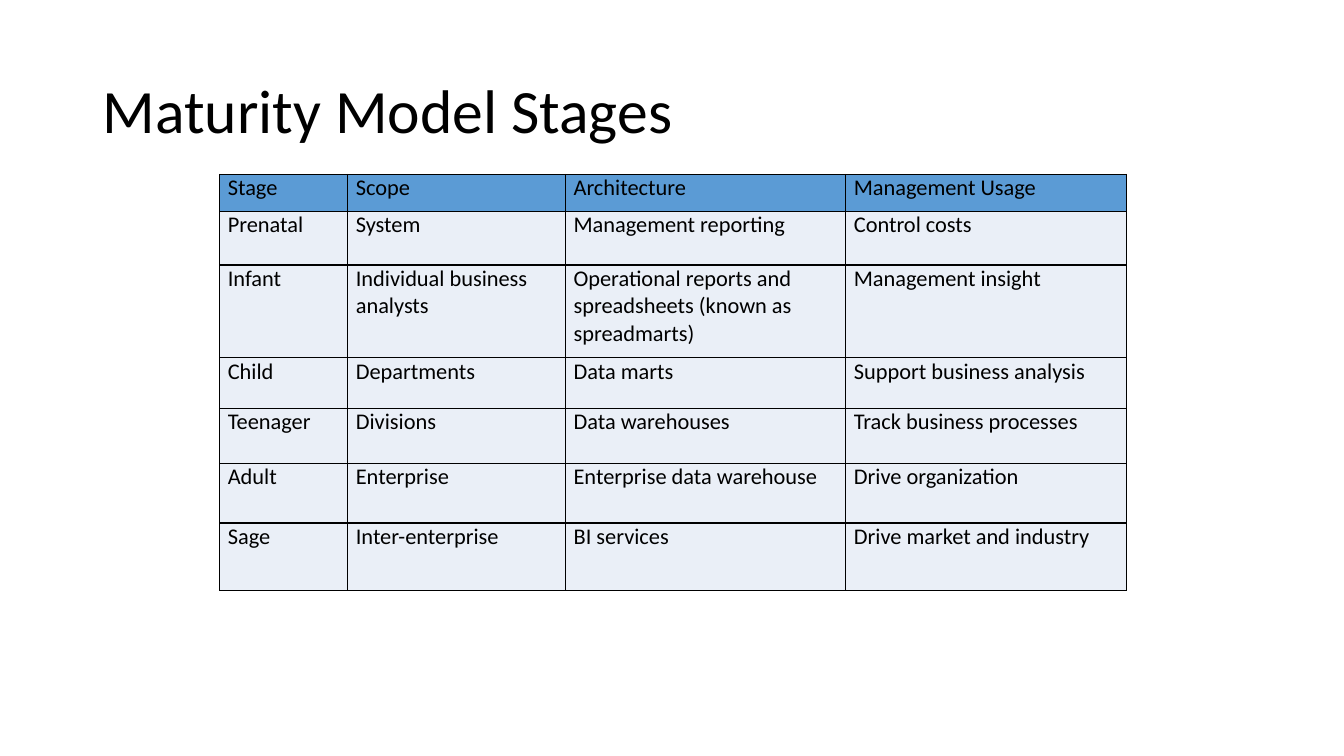
import pptx
import pptx.util
import pptx.dml.color
import pptx.enum.text
import pptx.oxml
import pptx.oxml.ns
from pptx.util import Inches

BLACK = pptx.dml.color.RGBColor(0x00, 0x00, 0x00)
BLUE = pptx.dml.color.RGBColor(0x5B, 0x9B, 0xD5)
PALE = pptx.dml.color.RGBColor(0xEA, 0xEF, 0xF7)
FONT = "Calibri"

COLS = [1.27, 2.16, 2.78, 2.78]
ROWS = [0.37, 0.53, 0.92, 0.5, 0.55, 0.59, 0.67]
STAGES = [
    ("Stage", "Scope", "Architecture", "Management Usage"),
    ("Prenatal", "System", "Management reporting", "Control costs"),
    ("Infant", "Individual business analysts",
     "Operational reports and spreadsheets (known as spreadmarts)",
     "Management insight"),
    ("Child", "Departments", "Data marts", "Support business analysis"),
    ("Teenager", "Divisions", "Data warehouses", "Track business processes"),
    ("Adult", "Enterprise", "Enterprise data warehouse", "Drive organization"),
    ("Sage", "Inter-enterprise", "BI services", "Drive market and industry"),
]


def style(par, size):
    for run in par.runs:
        run.font.name = FONT
        run.font.size = pptx.util.Pt(size)
        run.font.color.rgb = BLACK


def border(cell):
    # Edge lines come before the fill in the cell properties
    props = cell._tc.get_or_add_tcPr()
    for place, side in enumerate(("lnL", "lnR", "lnT", "lnB")):
        props.insert(place, pptx.oxml.parse_xml(
            f'<a:{side} {pptx.oxml.ns.nsdecls("a")} w="12700">'
            f'<a:solidFill><a:srgbClr val="{BLACK}"/></a:solidFill></a:{side}>'))


def add_title(slide, text, left, top, width, height):
    box = slide.shapes.add_textbox(
        Inches(left), Inches(top), Inches(width), Inches(height))
    frame = box.text_frame
    frame.word_wrap = True
    frame.vertical_anchor = pptx.enum.text.MSO_ANCHOR.MIDDLE
    frame.text = text
    frame.paragraphs[0].line_spacing = 0.9
    style(frame.paragraphs[0], 44)


def add_grid(slide, left, top):
    table = slide.shapes.add_table(
        len(ROWS), len(COLS), Inches(left), Inches(top),
        Inches(sum(COLS)), Inches(sum(ROWS))).table
    for col, width in zip(table.columns, COLS):
        col.width = Inches(width)
    for row, height, texts in zip(table.rows, ROWS, STAGES):
        row.height = Inches(height)
        for cell, text in zip(row.cells, texts):
            cell.text = text
            style(cell.text_frame.paragraphs[0], 16)
            cell.margin_left = cell.margin_right = Inches(0.08)
            cell.margin_top = cell.margin_bottom = 0
            cell.fill.solid()
            cell.fill.fore_color.rgb = BLUE if texts is STAGES[0] else PALE
            border(cell)


def main():
    deck = pptx.Presentation()
    deck.slide_width, deck.slide_height = Inches(13.33), Inches(7.5)
    slide = deck.slides.add_slide(deck.slide_layouts[6])
    # Heading
    add_title(slide, "Maturity Model Stages", 0.92, 0.4, 11.5, 1.45)
    # Table of stages
    add_grid(slide, 2.18, 1.73)
    deck.save("out.pptx")


if __name__ == "__main__":
    main()
